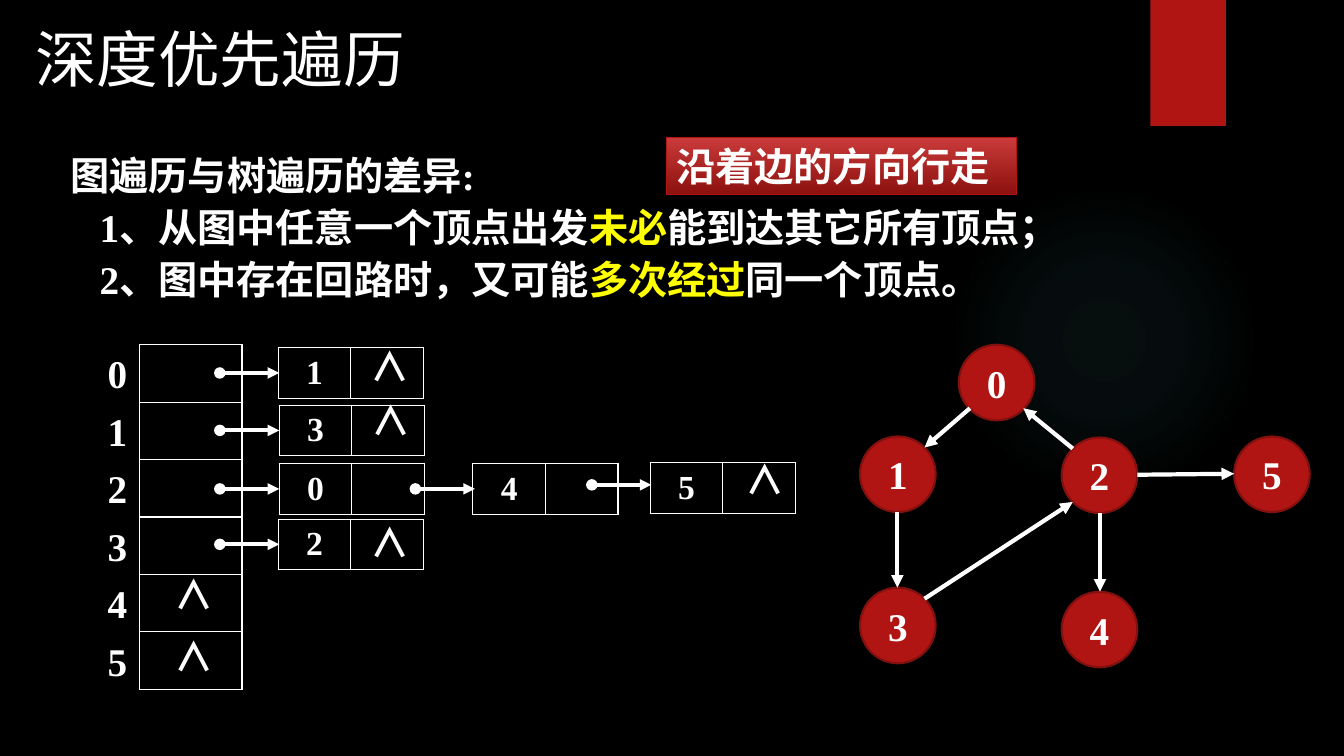
from pptx import Presentation
from pptx.dml.color import RGBColor
from pptx.enum import shapes, text
from pptx.oxml import parse_xml
from pptx.oxml.ns import nsdecls, qn
from pptx.util import Inches, Pt

WHITE, YELLOW, RED, DARK_RED = "FFFFFF", "FFFF00", "B01513", "82100E"
SERIF, SANS, BANNER_FONT = "Times New Roman", "Noto Sans CJK SC", "League Spartan"

TITLE = "深度优先遍历"
BANNER = "沿着边的方向行走"
# Each line: indent in inches, then (text, colour) spans
BODY = [
    (0, [("图遍历与树遍历的差异:", WHITE)]),
    (0.29, [("1、从图中任意一个顶点出发", WHITE), ("未必", YELLOW),
            ("能到达其它所有顶点；", WHITE)]),
    (0.29, [("2、图中存在回路时，又可能", WHITE), ("多次经过", YELLOW),
            ("同一个顶点。", WHITE)]),
]

VERTEX_COUNT = 6
ARRAY_LEFT, ARRAY_TOP, ARRAY_WIDTH, ROW_HEIGHT = 1.38, 3.42, 1.02, 0.57
CELL_WIDTH, CELL_HEIGHT = 0.72, 0.5
LIST_NODES = [("1", 2.76, 3.45), ("3", 2.77, 4.02), ("0", 2.77, 4.6),
              ("4", 4.69, 4.6), ("5", 6.45, 4.59), ("2", 2.76, 5.15)]
POINTERS = [(2.18, 3.7), (2.18, 4.27), (2.18, 4.85), (2.18, 5.4),
            (4.12, 4.85), (5.87, 4.81)]
POINTER_LENGTH = 0.59
NULL_MARKS = [(3.58, 3.35), (3.59, 3.88), (7.3, 4.47), (3.58, 5.09),
              (1.63, 5.61), (1.63, 6.22)]

DIAMETER = 0.75
VERTICES = [(9.51, 3.42), (8.53, 4.33), (10.53, 4.34),
            (8.53, 5.83), (10.53, 5.87), (12.24, 4.33)]
EDGES = [(9.62, 4.05, 9.17, 4.44), (10.64, 4.45, 10.15, 4.05),
         (8.9, 5.08, 8.9, 5.83), (9.17, 5.94, 10.64, 4.98),
         (11.28, 4.71, 12.24, 4.7), (10.91, 5.09, 10.91, 5.87)]


def paint(fill, colour):
    fill.solid()
    fill.fore_color.rgb = RGBColor.from_string(colour)


def add_span(para, words, colour=WHITE, size=28, font=SERIF, bold=True):
    span = para.add_run()
    span.text = words
    span.font.size, span.font.name, span.font.bold = Pt(size), font, bold
    span.font.color.rgb = RGBColor.from_string(colour)
    if font == SANS:
        east_asian = parse_xml(f'<a:ea {nsdecls("a")} typeface="{font}"/>')
        span.font._element.append(east_asian)


def add_text(left, top, width, height, words, wrap=True, **style):
    box = page.shapes.add_textbox(*map(Inches, (left, top, width, height)))
    box.text_frame.word_wrap = wrap
    add_span(box.text_frame.paragraphs[0], words, **style)


def add_figure(kind, left, top, width, height, fill=RED, line=None, line_width=1):
    figure = page.shapes.add_shape(kind, *map(Inches, (left, top, width, height)))
    figure.shadow.inherit = False
    paint(figure.fill, fill)
    if line:
        paint(figure.line.fill, line)
        figure.line.width = Pt(line_width)
    else:
        figure.line.fill.background()
    return figure


def add_gradient(figure, stops, direction):
    """Replace the fill by (position, colour, opacity) stops, all in percent."""
    marks = "".join(
        f'<a:gs pos="{pos * 1000}"><a:srgbClr val="{colour}">'
        f'<a:alpha val="{opacity * 1000}"/></a:srgbClr></a:gs>'
        for pos, colour, opacity in stops)
    gradient = parse_xml(f'<a:gradFill {nsdecls("a")} rotWithShape="1">'
                         f'<a:gsLst>{marks}</a:gsLst>{direction}</a:gradFill>')
    properties = figure._element.spPr
    properties.replace(properties.find(qn("a:solidFill")), gradient)


def add_arrow(x1, y1, x2, y2, width, dotted_start=False):
    arrow = page.shapes.add_connector(shapes.MSO_CONNECTOR.STRAIGHT,
                                      *map(Inches, (x1, y1, x2, y2)))
    paint(arrow.line.fill, WHITE)
    arrow.line.width = Pt(width)
    line = arrow.line._get_or_add_ln()
    if dotted_start:
        line.append(parse_xml(f'<a:headEnd {nsdecls("a")} type="oval"/>'))
    line.append(parse_xml(f'<a:tailEnd {nsdecls("a")} type="triangle"/>'))
    arrow._element.spPr.append(parse_xml(f'<a:effectLst {nsdecls("a")}/>'))


def add_cells(left, top, rows, columns, cell_width, cell_height, label=""):
    """Draw a white-ruled grid with the label in its first cell."""
    table = page.shapes.add_table(
        rows, columns, Inches(left), Inches(top),
        Inches(cell_width * columns), Inches(cell_height * rows)).table
    table.first_row = table.horz_banding = False
    for row in table.rows:
        row.height = Inches(cell_height)
    for cell in table.iter_cells():
        cell.vertical_anchor = text.MSO_ANCHOR.MIDDLE
        properties = cell._tc.get_or_add_tcPr()
        for side in ("lnL", "lnR", "lnT", "lnB"):
            properties.append(parse_xml(
                f'<a:{side} {nsdecls("a")} w="12700"><a:solidFill>'
                f'<a:srgbClr val="{WHITE}"/></a:solidFill></a:{side}>'))
        cell.fill.background()
    if label:
        para = table.cell(0, 0).text_frame.paragraphs[0]
        para.alignment = text.PP_ALIGN.CENTER
        add_span(para, label, size=24)


deck = Presentation()
deck.slide_width, deck.slide_height = Inches(13.33), Inches(7.5)
page = deck.slides.add_slide(deck.slide_layouts[6])
paint(page.background.fill, "000000")

# Backdrop and headings
glow = add_figure(shapes.MSO_SHAPE.OVAL, 9.41, 1.83, 3.08, 3.08)
add_gradient(glow, [(0, "50B9C1", 7), (36, "50B9C1", 6), (69, "50B9C1", 0)],
             '<a:path path="circle"><a:fillToRect l="50000" t="50000" '
             'r="50000" b="50000"/></a:path>')
add_figure(shapes.MSO_SHAPE.RECTANGLE, 11.41, 0, 0.75, 1.25)
add_text(0.25, 0.16, 10.29, 1.53, TITLE, size=44, bold=False)

body = page.shapes.add_textbox(*map(Inches, (0.6, 1.41, 11.29, 2.17))).text_frame
body.word_wrap = True
for number, (indent, spans) in enumerate(BODY):
    para = body.add_paragraph() if number else body.paragraphs[0]
    para.line_spacing = 1.1
    para._p.get_or_add_pPr().set("marL", str(Inches(indent)))
    for words, colour in spans:
        add_span(para, words, colour)

# Adjacency list
add_cells(ARRAY_LEFT, ARRAY_TOP, VERTEX_COUNT, 1, ARRAY_WIDTH, ROW_HEIGHT)
for index in range(VERTEX_COUNT):
    add_text(0.97, ARRAY_TOP + index * ROW_HEIGHT, 0.99, ROW_HEIGHT, str(index))
for label, left, top in LIST_NODES:
    add_cells(left, top, 1, 2, CELL_WIDTH, CELL_HEIGHT, label)
for x, y in POINTERS:
    add_arrow(x, y, x + POINTER_LENGTH, y, 2.75, dotted_start=True)
for left, top in NULL_MARKS:
    add_text(left, top, 0.44, 0.57, "∧", wrap=False, font=SANS)

# Directed graph
for index, (left, top) in enumerate(VERTICES):
    vertex = add_figure(shapes.MSO_SHAPE.OVAL, left, top, DIAMETER, DIAMETER,
                        line=DARK_RED, line_width=1.5)
    para = vertex.text_frame.paragraphs[0]
    para.alignment = text.PP_ALIGN.CENTER
    add_span(para, str(index))
for edge in EDGES:
    add_arrow(*edge, 3)

banner = add_figure(shapes.MSO_SHAPE.RECTANGLE, 6.61, 1.36, 3.47, 0.57,
                    line=RED, line_width=0.75)
add_gradient(banner, [(0, "C93B3A", 100), (100, "8D110F", 100)],
             '<a:lin ang="5400000" scaled="0"/>')
para = banner.text_frame.paragraphs[0]
para.alignment = text.PP_ALIGN.LEFT
add_span(para, BANNER, font=BANNER_FONT)

deck.save("out.pptx")
